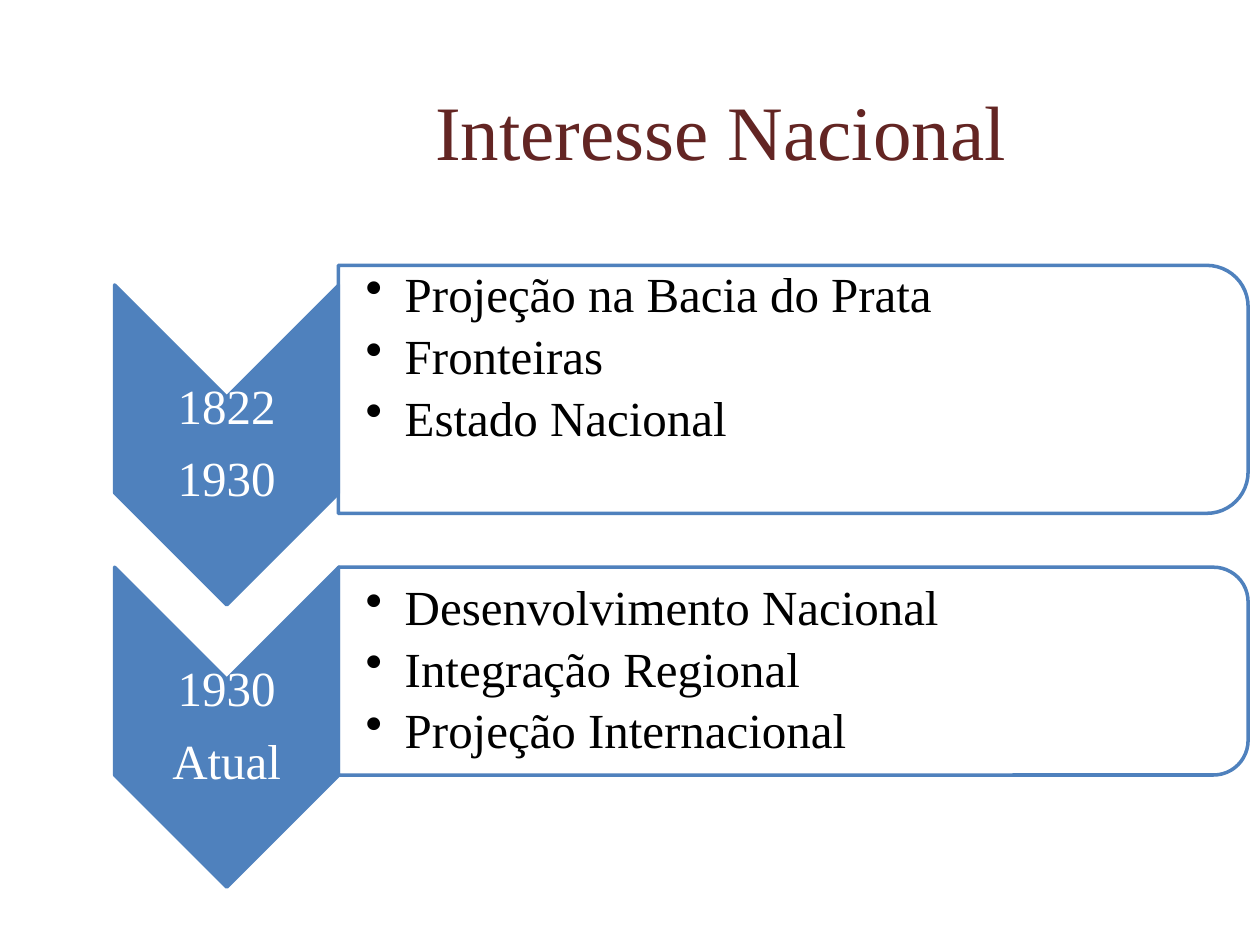
"""Build the slide on the national interest in two periods."""
import pptx
import pptx.util
import pptx.dml.color
import pptx.enum.shapes
import pptx.enum.text
import pptx.oxml.ns
import lxml.etree

Cm = pptx.util.Cm
Pt = pptx.util.Pt
RGBColor = pptx.dml.color.RGBColor
SHAPE = pptx.enum.shapes.MSO_SHAPE
ALIGN = pptx.enum.text.PP_ALIGN
qn = pptx.oxml.ns.qn

WINE = RGBColor(0x63, 0x25, 0x23)
BLUE = RGBColor(0x4F, 0x81, 0xBD)
WHITE = RGBColor(0xFF, 0xFF, 0xFF)
BLACK = RGBColor(0, 0, 0)
FACE = "Times New Roman"


def block(kind, mid_x, mid_y, wide, high, fill):
    shape = slide.shapes.add_shape(
        kind, Cm(mid_x - wide / 2), Cm(mid_y - high / 2), Cm(wide), Cm(high))
    shape.rotation = 90
    shape.shadow.inherit = False
    shape.fill.solid()
    shape.fill.fore_color.rgb = fill
    shape.line.color.rgb = BLUE
    shape.line.width = Pt(2)
    return shape


def label(left, mid_y, wide, high, lines, color, after, bullet):
    box = slide.shapes.add_textbox(Cm(left), Cm(mid_y - high / 2), Cm(wide), Cm(high))
    frame = box.text_frame
    frame.word_wrap = True
    frame.vertical_anchor = pptx.enum.text.MSO_ANCHOR.MIDDLE
    frame.margin_left = Cm(0.56 if bullet else 0.05)
    frame.margin_right = frame.margin_top = frame.margin_bottom = Cm(0.05)
    frame.text = "\n".join(lines)
    for para in frame.paragraphs:
        para.line_spacing = 0.9
        para.space_after = Pt(after)
        if bullet:
            para.level = 1
            props = para._p.get_or_add_pPr()
            props.set("marL", str(Cm(0.79)))
            props.set("indent", str(-Cm(0.79)))
            lxml.etree.SubElement(props, qn("a:buChar")).set("char", "•")
        else:
            para.alignment = ALIGN.CENTER
        para.font.name = FACE
        para.font.size = Pt(28)
        para.font.color.rgb = color


deck = pptx.Presentation()
deck.slide_width = Cm(25.4)
deck.slide_height = Cm(19.05)
slide = deck.slides.add_slide(deck.slide_layouts[5])

title = slide.shapes.title
title.left, title.top, title.width, title.height = Cm(3.1), Cm(1.32), Cm(22.86), Cm(2.59)
title.text_frame.text = "Interesse Nacional"
title.text_frame.vertical_anchor = pptx.enum.text.MSO_ANCHOR.MIDDLE
head = title.text_frame.paragraphs[0]
head.alignment = ALIGN.CENTER
head.font.name = FACE
head.font.size = Pt(44)
head.font.color.rgb = WINE

ROWS = [
    (8.97, 7.85, 5, 7.23, ["1822", "1930"],
     ["Projeção na Bacia do Prata", "Fronteiras", "Estado Nacional"]),
    (14.66, 13.53, 4.19, 13.53, ["1930", "Atual"],
     ["Desenvolvimento Nacional", "Integração Regional", "Projeção Internacional"]),
]
for arrow_y, panel_y, thick, list_y, years, goals in ROWS:
    block(SHAPE.CHEVRON, 4.57, arrow_y, 6.45, 4.52, BLUE)
    label(2.31, arrow_y, 4.52, 1.93, years, WHITE, 11, False)
    panel = block(SHAPE.ROUND_2_SAME_RECTANGLE, 15.99, panel_y, thick, 18.34, WHITE)
    tint = panel._element.spPr.find(qn("a:solidFill"))[0]
    lxml.etree.SubElement(tint, qn("a:alpha")).set("val", "90000")
    label(6.81, list_y, 18.12, 3.78, goals, BLACK, 5, True)

deck.save("out.pptx")
